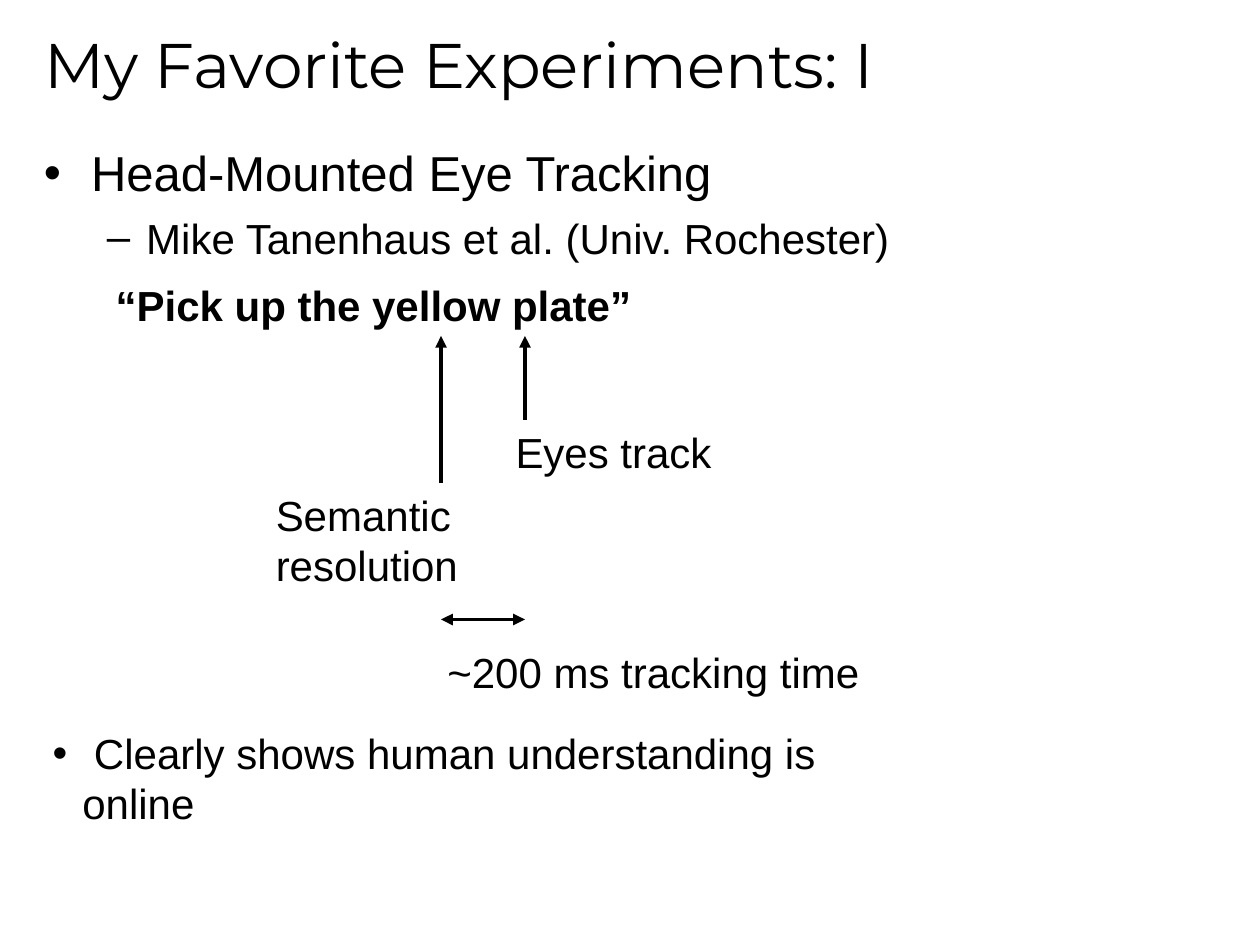
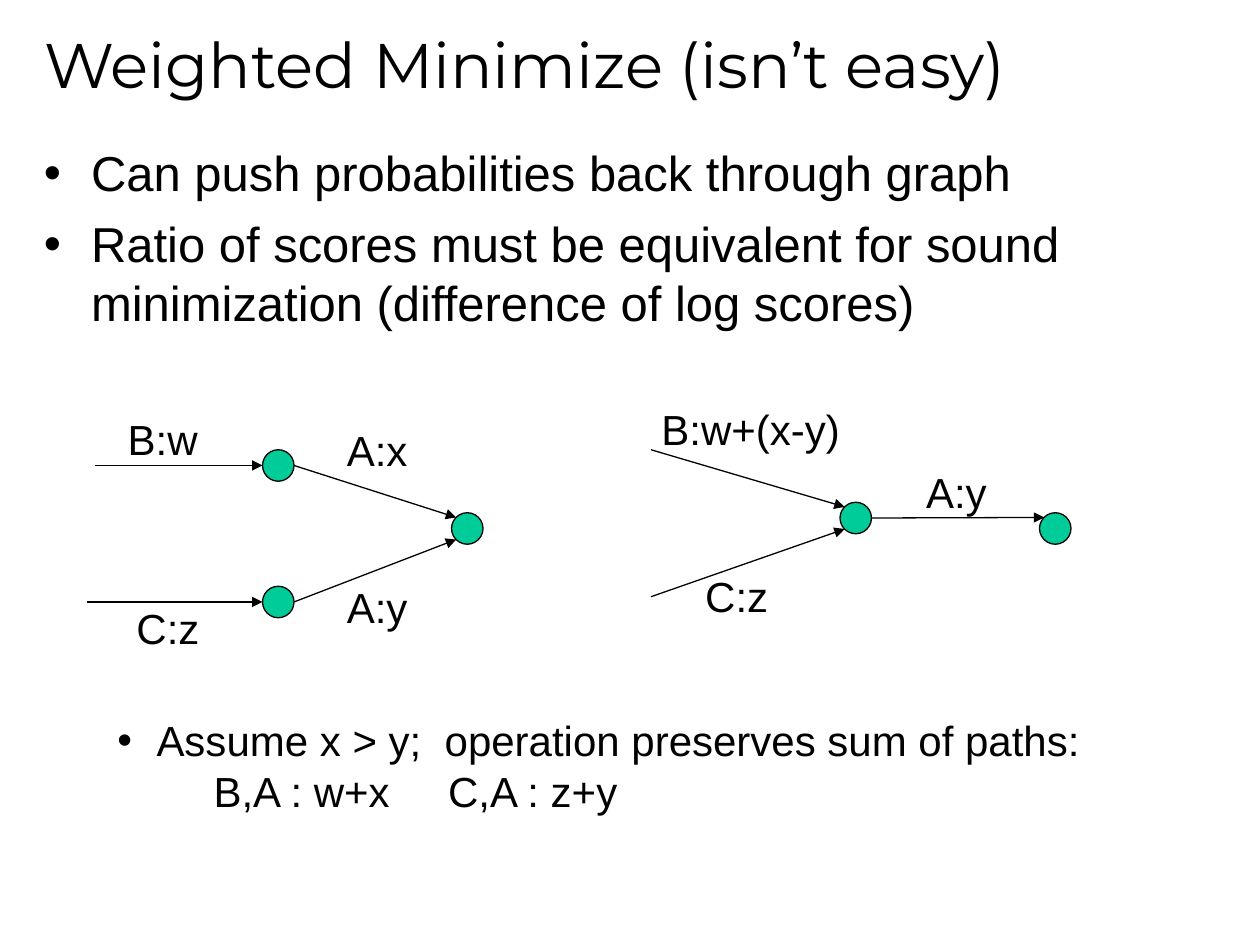
from lxml import etree
from pptx import Presentation
from pptx.dml.color import RGBColor
from pptx.enum.shapes import MSO_CONNECTOR, MSO_SHAPE
from pptx.enum.text import MSO_ANCHOR, MSO_AUTO_SIZE, PP_ALIGN
from pptx.oxml.ns import qn
from pptx.util import Pt

COLORS = {"ink": "000000", "node": "00CC99", "paper": "FFFFFF"}
BODY_FONT, TITLE_FONT = "Arial", "Montserrat"
TITLE_BOX = (18, 12, 684, 48)
BODY_BOX = (18, 78, 684, 402)
LABEL_H = 36
NODE_D = 18
PORTS = {"W": (0, 0.5), "E": (1, 0.5), "NW": (0.15, 0.15), "SW": (0.15, 0.85)}
LEVEL1 = dict(size=28, bullet="•", margin=27, indent=-27, before=7)
LEVEL2 = dict(size=24, bullet="–", margin=58.5, indent=-22.5, before=6)
REMARK = dict(bullet="•", margin=17, indent=-17)


def rgb(name):
    return RGBColor.from_string(COLORS[name])


def add_text(tf, text, size=24, font=BODY_FONT, bold=False, align=PP_ALIGN.LEFT,
             bullet=None, margin=0, indent=0, before=0):
    p = tf.paragraphs[0]
    if p.runs:
        p = tf.add_paragraph()
    p.alignment = align
    p.space_before = Pt(before)
    pPr = p._p.get_or_add_pPr()
    pPr.set("marL", str(Pt(margin)))
    pPr.set("indent", str(Pt(indent)))
    if bullet:
        etree.SubElement(pPr, qn("a:buFont"), typeface=BODY_FONT)
        etree.SubElement(pPr, qn("a:buChar"), char=bullet)
    r = p.add_run()
    r.text = text
    r.font.size = Pt(size)
    r.font.name = font
    r.font.bold = bold
    r.font.color.rgb = rgb("ink")


def add_box(s, x, y, w, h, wrap=True, anchor=MSO_ANCHOR.TOP):
    tf = s.shapes.add_textbox(Pt(x), Pt(y), Pt(w), Pt(h)).text_frame
    tf.word_wrap = wrap
    tf.vertical_anchor = anchor
    return tf


def add_label(s, x, y, w, *lines, **fmt):
    tf = add_box(s, x, y, w, LABEL_H * len(lines), wrap=False)
    tf.auto_size = MSO_AUTO_SIZE.SHAPE_TO_FIT_TEXT
    tf.margin_right = 0
    if fmt.get("align") == PP_ALIGN.CENTER:
        tf.margin_left = 0
    for line in lines:
        add_text(tf, line, **fmt)


def add_arrow(s, start, end, width=0.75, both=False):
    c = s.shapes.add_connector(MSO_CONNECTOR.STRAIGHT, *map(Pt, (*start, *end)))
    c.line.color.rgb = rgb("ink")
    c.line.width = Pt(width)
    ln = c.line._get_or_add_ln()
    for tag in (("a:headEnd", "a:tailEnd") if both else ("a:tailEnd",)):
        etree.SubElement(ln, qn(tag), type="triangle")
    etree.SubElement(c._element.spPr, qn("a:effectLst"))


def add_slide(prs, title, bullets):
    s = prs.slides.add_slide(prs.slide_layouts[5])
    s.background.fill.solid()
    s.background.fill.fore_color.rgb = rgb("paper")
    sp = s.shapes.title
    sp.left, sp.top, sp.width, sp.height = map(Pt, TITLE_BOX)
    tf = sp.text_frame
    tf.auto_size = MSO_AUTO_SIZE.NONE
    tf.vertical_anchor = MSO_ANCHOR.MIDDLE
    add_text(tf, title, size=36, font=TITLE_FONT)
    body = add_box(s, *BODY_BOX)
    for text, level in bullets:
        add_text(body, text, **level)
    return s


def add_timeline(s, x, y):
    semantic_x, eyes_x, tip_y = x + 193, x + 241, y + 36
    add_label(s, x, y, 309, "“Pick up the yellow plate”", bold=True)
    add_arrow(s, (eyes_x, y + 84), (eyes_x, tip_y), width=2.25)
    add_label(s, x + 228.5, y + 84, 126, "Eyes track")
    add_arrow(s, (semantic_x, y + 120), (semantic_x, tip_y), width=2.25)
    add_label(s, x + 91.5, y + 120, 121, "Semantic", "resolution")
    add_arrow(s, (semantic_x, y + 198), (eyes_x, y + 198), width=2.25, both=True)
    add_label(s, x + 189.5, y + 210, 250, "~200 ms tracking time")


def add_graph(s, x, y, nodes, edges, labels):
    for nx, ny in nodes.values():
        sp = s.shapes.add_shape(MSO_SHAPE.OVAL, Pt(x + nx), Pt(y + ny), Pt(NODE_D), Pt(NODE_D))
        sp.shadow.inherit = False
        sp.fill.solid()
        sp.fill.fore_color.rgb = rgb("node")
        sp.line.color.rgb = rgb("ink")
        sp.line.width = Pt(0.75)

    def locate(end):
        a, b = end
        if a in nodes:
            (nx, ny), (fx, fy) = nodes[a], PORTS[b]
            a, b = nx + fx * NODE_D, ny + fy * NODE_D
        return x + a, y + b

    for start, end in edges:
        add_arrow(s, locate(start), locate(end))
    for text, lx, ly, w in labels:
        add_label(s, x + lx, y + ly, w, text, align=PP_ALIGN.CENTER)


def add_path_sums(s, x, y):
    tf = add_box(s, x, y, 588, LABEL_H)
    add_text(tf, " Assume x > y;  operation preserves sum of paths:", **REMARK)
    add_label(s, x + 55, y + 29, 117, "B,A : w+x")
    add_label(s, x + 189, y + 29, 113, "C,A : z+y")


def build_experiment(prs):
    s = add_slide(prs, "My Favorite Experiments: I", [
        ("Head-Mounted Eye Tracking", LEVEL1),
        ("Mike Tanenhaus et al. (Univ. Rochester)", LEVEL2),
    ])
    add_timeline(s, 59, 156)
    tf = add_box(s, 23, 412, 512, 65, anchor=MSO_ANCHOR.MIDDLE)
    add_text(tf, " Clearly shows human understanding is online", **REMARK)


def build_minimize(prs):
    s = add_slide(prs, "Weighted Minimize (isn’t easy)", [
        ("Can push probabilities back through graph", LEVEL1),
        ("Ratio of scores must be equivalent for sound minimization "
         "(difference of log scores)", LEVEL1),
    ])
    add_graph(
        s, 50, 230,
        nodes={"upper": (100, 27), "lower": (100, 105), "final": (208, 63)},
        edges=[
            ((4, 36), ("upper", "W")),
            ((0, 114), ("lower", "W")),
            (("upper", "E"), ("final", "NW")),
            (("lower", "E"), ("final", "SW")),
        ],
        labels=[("B:w", 16, 2.5, 54), ("C:z", 21, 110.5, 50),
                ("A:x", 141, 9, 49), ("A:y", 141, 99, 49)])
    add_graph(
        s, 370, 227,
        nodes={"merged": (110, 60), "final": (224, 66)},
        edges=[
            ((2, 30), ("merged", "NW")),
            ((2, 114), ("merged", "SW")),
            (("merged", "E"), ("final", "NW")),
        ],
        labels=[("B:w+(x-y)", 1, 0, 116), ("C:z", 26, 95.5, 50), ("A:y", 152, 36, 49)])
    add_path_sums(s, 60, 405)


def main():
    prs = Presentation()
    prs.slide_width, prs.slide_height = Pt(720), Pt(540)
    build_experiment(prs)
    build_minimize(prs)
    prs.save("out.pptx")


if __name__ == "__main__":
    main()
